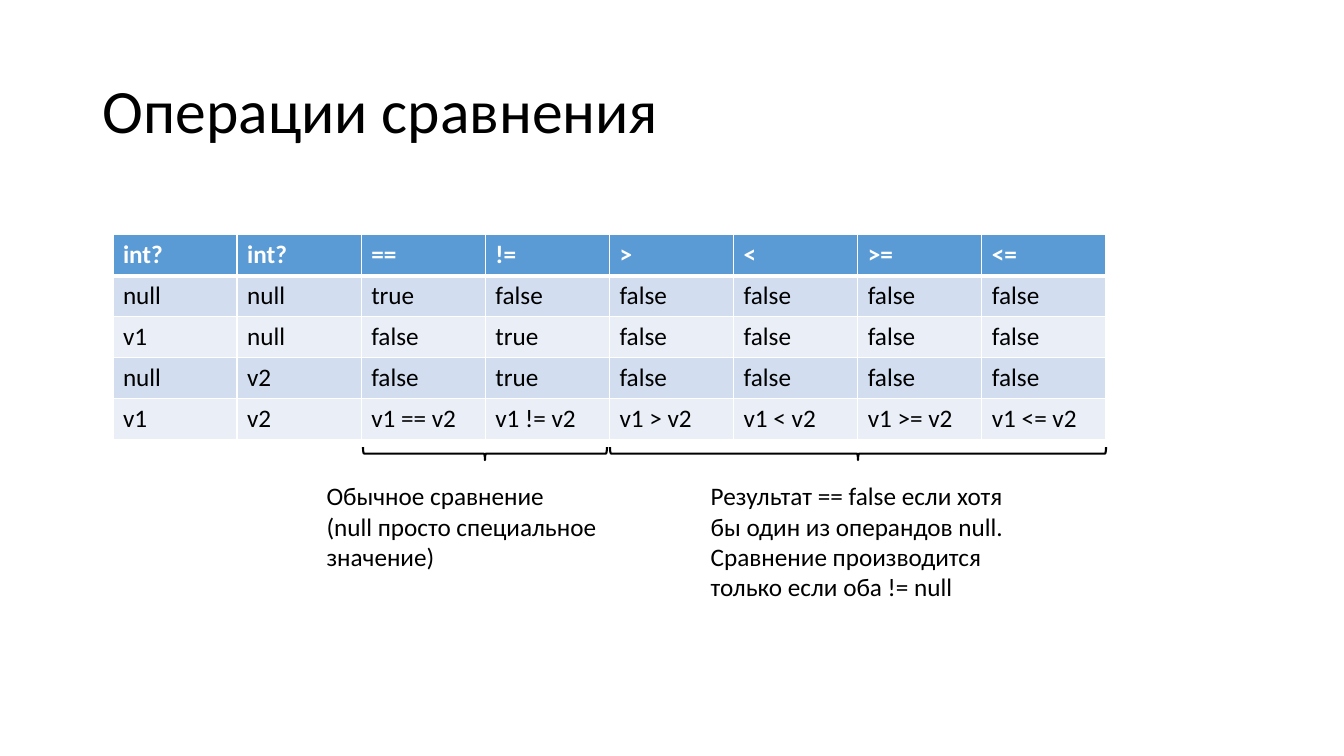
from dataclasses import dataclass

from lxml import etree
from pptx import Presentation
from pptx.dml.color import RGBColor
from pptx.enum.shapes import MSO_SHAPE
from pptx.enum.text import MSO_ANCHOR, MSO_AUTO_SIZE, PP_ALIGN
from pptx.oxml.ns import qn
from pptx.util import Inches, Pt

LEFT_BRACE = MSO_SHAPE.LEFT_BRACE
MIDDLE = MSO_ANCHOR.MIDDLE
NO_FIT = MSO_AUTO_SIZE.NONE
LEFT = PP_ALIGN.LEFT
TITLE_ONLY = 5


@dataclass(frozen=True)
class Theme:
    """Font, type sizes and colours of the slide."""
    font: str = "Calibri"
    title_size: int = 44
    body_size: int = 18
    ink: str = "000000"
    paper: str = "FFFFFF"
    header: str = "5B9BD5"
    bands: tuple = ("D2DEEF", "EAEFF7")


THEME = Theme()

COMPARISONS = [
    ["int?", "int?", "==", "!=", ">", "<", ">=", "<="],
    ["null", "null", "true"] + ["false"] * 5,
    ["v1", "null", "false", "true"] + ["false"] * 4,
    ["null", "v2", "false", "true"] + ["false"] * 4,
    ["v1", "v2"] + [f"v1 {op} v2" for op in ("==", "!=", ">", "<", ">=", "<=")],
]


def write(tf, text, size=THEME.body_size, color=THEME.ink, bold=False, spacing=1.0):
    """Fill a text frame with one formatted paragraph per line of text."""
    tf.word_wrap = True
    for i, line in enumerate(text.split("\n")):
        p = tf.paragraphs[0] if i == 0 else tf.add_paragraph()
        p.alignment = LEFT
        p.line_spacing = spacing
        r = p.add_run()
        r.text = line
        r.font.name = THEME.font
        r.font.size = Pt(size)
        r.font.bold = bold
        r.font.color.rgb = RGBColor.from_string(color)


def add_title(slide, text):
    """Place and format the title placeholder."""
    sp = slide.shapes.title
    sp.left, sp.top = Inches(0.92), Inches(0.4)
    sp.width, sp.height = Inches(11.5), Inches(1.45)
    tf = sp.text_frame
    tf.auto_size = NO_FIT
    tf.vertical_anchor = MIDDLE
    write(tf, text, size=THEME.title_size, spacing=0.9)


def set_border(cell, side, width):
    """Draw one light edge of a table cell."""
    ln = etree.SubElement(cell._tc.get_or_add_tcPr(), qn(f"a:ln{side}"), w=str(Pt(width)))
    fill = etree.SubElement(ln, qn("a:solidFill"))
    etree.SubElement(fill, qn("a:srgbClr"), val=THEME.paper)


def add_comparison_table(slide, rows):
    """Add the banded table with a coloured header row."""
    table = slide.shapes.add_table(len(rows), len(rows[0]), Inches(1.12), Inches(2.33),
                                   Inches(9.85), Inches(2.03)).table
    for i, row in enumerate(rows):
        is_header = i == 0
        fill = THEME.header if is_header else THEME.bands[(i - 1) % 2]
        for j, text in enumerate(row):
            cell = table.cell(i, j)
            for side in "LRTB":
                thick = (is_header and side == "B") or (i == 1 and side == "T")
                set_border(cell, side, 3 if thick else 1)
            cell.fill.solid()
            cell.fill.fore_color.rgb = RGBColor.from_string(fill)
            write(cell.text_frame, text, bold=is_header,
                  color=THEME.paper if is_header else THEME.ink)


def add_brace(slide, start, end, middle=4.5, depth=0.13):
    """Add a brace pointing down, spanning start to end in inches."""
    length = end - start
    sp = slide.shapes.add_shape(LEFT_BRACE, Inches((start + end - depth) / 2),
                                Inches(middle - length / 2), Inches(depth), Inches(length))
    sp.rotation = 270
    sp.shadow.inherit = False
    sp.fill.background()
    sp.line.color.rgb = RGBColor.from_string(THEME.ink)
    sp.line.width = Pt(1.5)


def add_note(slide, left, height, text):
    """Add an explanation below a brace."""
    sp = slide.shapes.add_textbox(Inches(left), Inches(4.72), Inches(3.11), Inches(height))
    write(sp.text_frame, text)


def main():
    """Build and save the slide."""
    prs = Presentation()
    prs.slide_width, prs.slide_height = Inches(13.33), Inches(7.5)
    slide = prs.slides.add_slide(prs.slide_layouts[TITLE_ONLY])
    add_title(slide, "Операции сравнения")
    add_comparison_table(slide, COMPARISONS)
    add_brace(slide, 3.6, 6.02)
    add_brace(slide, 6.05, 10.97)
    add_note(slide, 3.14, 1.01, "Обычное сравнение\n(null просто специальное значение)")
    add_note(slide, 6.95, 1.31, "Результат == false если хотя бы один из операндов null.\n"
                                "Сравнение производится только если оба != null")
    prs.save("out.pptx")


if __name__ == "__main__":
    main()
